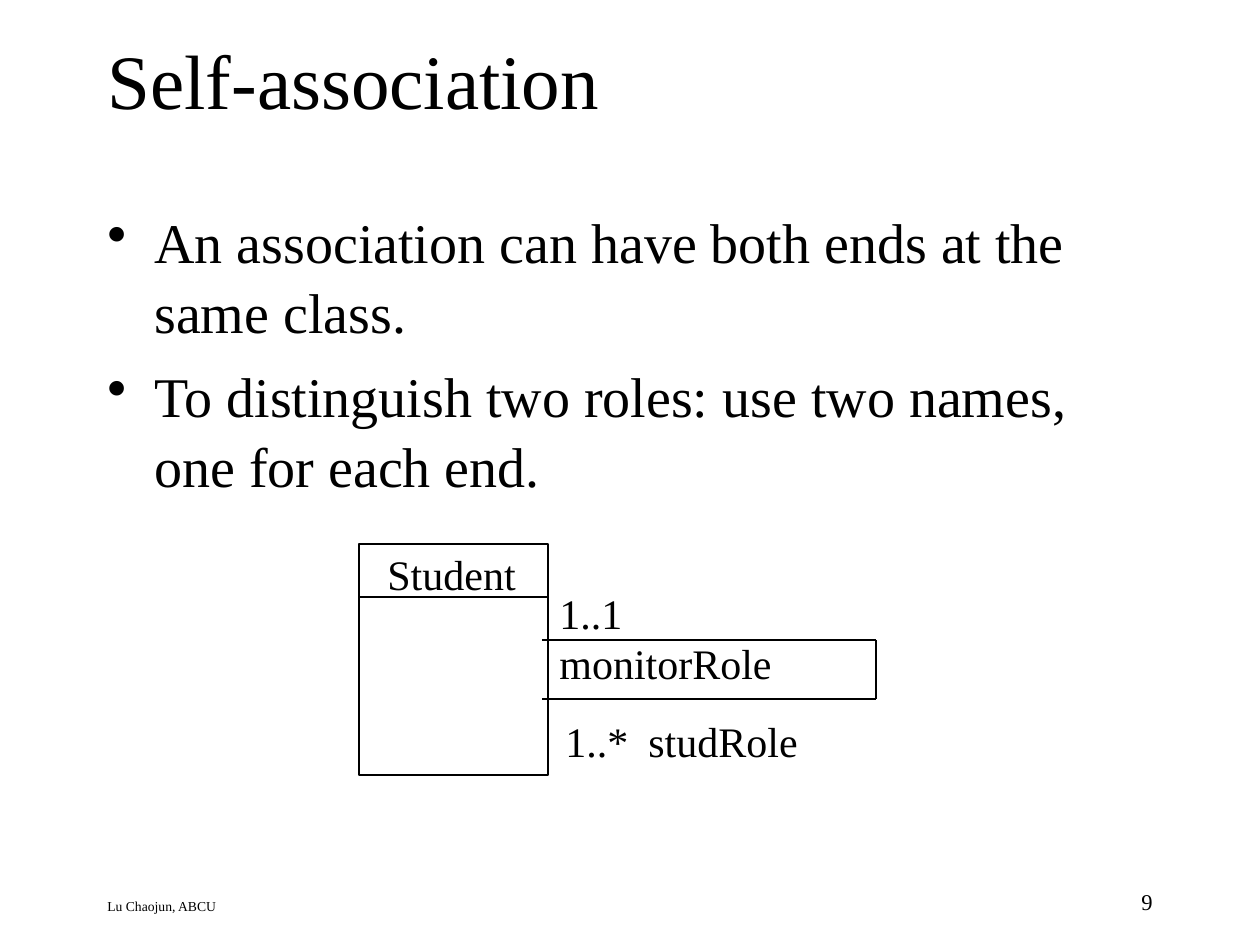
from dataclasses import dataclass

from lxml.etree import SubElement
from pptx import Presentation
from pptx.dml.color import RGBColor
from pptx.enum.shapes import MSO_CONNECTOR, MSO_SHAPE
from pptx.enum.text import MSO_ANCHOR, MSO_AUTO_SIZE, PP_ALIGN
from pptx.oxml.ns import qn
from pptx.util import Pt

EMU_PER_PX = 914400 / 126


def px(length):
    """Turn whole pixels into EMU."""
    return round(length * EMU_PER_PX)


@dataclass(frozen=True)
class Theme:
    """Colours, font and type sizes of the slide."""
    font: str = "Times New Roman"
    ink: RGBColor = RGBColor(0, 0, 0)
    paper: RGBColor = RGBColor(255, 255, 255)
    title: float = 44
    body: float = 32
    label: float = 24
    number: float = 12.9
    footer: float = 7.8
    line: float = 0.75


THEME = Theme()


def write(paragraph, text, size, align=PP_ALIGN.LEFT, before=0, spacing=None,
          bullet_indent=0, tab=0):
    """Fill a paragraph with formatted text."""
    paragraph.text = text
    paragraph.alignment = align
    paragraph.space_before = Pt(before)
    paragraph.line_spacing = spacing
    font = paragraph.font
    font.size, font.name = Pt(size), THEME.font
    font.color.rgb = THEME.ink
    properties = paragraph._p.get_or_add_pPr()
    if bullet_indent:
        properties.set("marL", str(px(bullet_indent)))
        properties.set("indent", str(-px(bullet_indent)))
        bullet = SubElement(properties, qn("a:buChar"), char="•")
        properties.find(qn("a:defRPr")).addprevious(bullet)
    if tab:
        stops = SubElement(properties, qn("a:tabLst"))
        SubElement(stops, qn("a:tab"), pos=str(px(tab)), algn="l")
        properties.find(qn("a:defRPr")).addprevious(stops)


class SlideBuilder:
    """Hold the theme and the current slide, and add elements to it."""

    def __init__(self, slide, theme):
        """Start on a slide with a plain background."""
        self.slide, self.theme = slide, theme
        slide.background.fill.solid()
        slide.background.fill.fore_color.rgb = theme.paper

    def title(self, text, left, top, width, height):
        """Place and format the title placeholder."""
        shape = self.slide.shapes.title
        shape.left, shape.top = px(left), px(top)
        shape.width, shape.height = px(width), px(height)
        shape.text_frame.vertical_anchor = MSO_ANCHOR.MIDDLE
        write(shape.text_frame.paragraphs[0], text, self.theme.title)

    def text(self, texts, left, top, width, height, size, wrap=True, **style):
        """Add a text box with one paragraph for each text."""
        shape = self.slide.shapes.add_textbox(px(left), px(top), px(width), px(height))
        frame = shape.text_frame
        frame.word_wrap = wrap
        frame.auto_size = MSO_AUTO_SIZE.NONE if wrap else MSO_AUTO_SIZE.SHAPE_TO_FIT_TEXT
        for index, text in enumerate(texts):
            paragraph = frame.add_paragraph() if index else frame.paragraphs[0]
            write(paragraph, text, size, **style)

    def label(self, text, left, top, width, tab=0):
        """Add a one-line diagram label."""
        self.text([text], left, top, width, 63, self.theme.label, wrap=False, tab=tab)

    def box(self, left, top, width, height):
        """Add an outlined rectangle."""
        shape = self.slide.shapes.add_shape(
            MSO_SHAPE.RECTANGLE, px(left), px(top), px(width), px(height))
        shape.shadow.inherit = False
        shape.fill.background()
        shape.line.color.rgb = self.theme.ink
        shape.line.width = Pt(self.theme.line)

    def path_lines(self, *points):
        """Join successive points with straight connectors."""
        for start, end in zip(points, points[1:]):
            connector = self.slide.shapes.add_connector(
                MSO_CONNECTOR.STRAIGHT, *map(px, start + end))
            connector.line.color.rgb = self.theme.ink
            connector.line.width = Pt(self.theme.line)
            SubElement(connector._element.spPr, qn("a:effectLst"))


def main():
    """Build and save the slide."""
    presentation = Presentation()
    presentation.slide_width, presentation.slide_height = px(1260), px(945)
    slide = presentation.slides.add_slide(presentation.slide_layouts[5])
    builder = SlideBuilder(slide, THEME)

    builder.title("Self-association", 95, 0, 1071, 158)
    builder.text(["An association can have both ends at the same class.",
                  "To distinguish two roles: use two names, one for each end."],
                 95, 199, 1071, 640, THEME.body, before=8, spacing=1.04, bullet_indent=47)
    builder.text(["Lu Chaojun, ABCU"], 95, 892, 731, 32, THEME.footer)
    builder.text(["9"], 903, 882, 262, 42, THEME.number, align=PP_ALIGN.RIGHT)

    builder.box(359, 544, 189, 231)
    builder.label("Student", 375, 542, 154)
    builder.label("1..1\tmonitorRole", 547, 581, 331, tab=94)
    builder.path_lines((359, 597), (548, 597))
    builder.path_lines((542, 640), (876, 640), (876, 699), (542, 699))
    builder.label("1..*\tstudRole", 553, 709, 258, tab=83)

    presentation.save("out.pptx")


if __name__ == "__main__":
    main()
